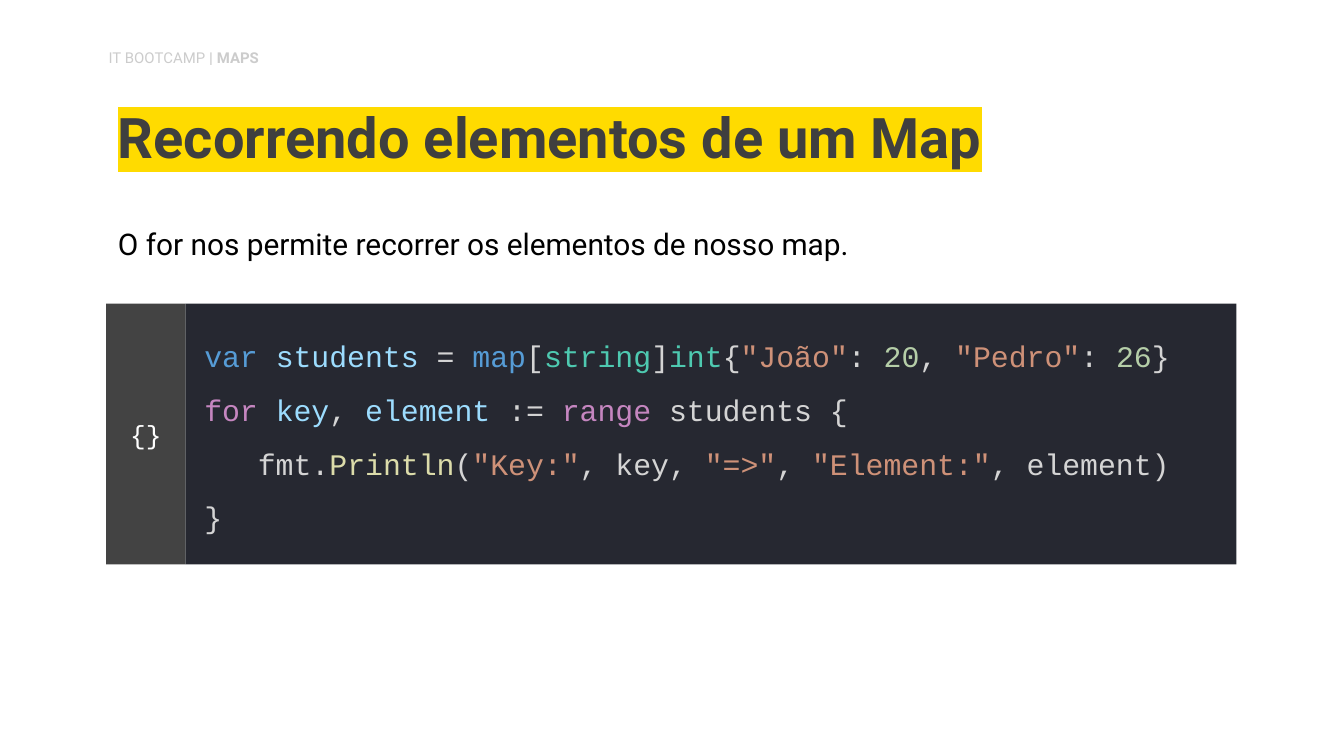
from lxml import etree
from pptx import Presentation
from pptx.dml.color import RGBColor
from pptx.enum import shapes, text
from pptx.oxml import ns
from pptx.util import Inches, Pt

SANS, MONO = "Roboto", "Courier New"
TITLE = "Recorrendo elementos de um Map"
INTRO = "O for nos permite recorrer os elementos de nosso map."
HEADER = [("IT BOOTCAMP", False), (" | MAPS", True)]

SYNTAX = {
    "plain": "D4D4D4", "keyword": "569CD6", "control": "C586C0",
    "variable": "9CDCFE", "type": "4EC9B0", "string": "CE9178",
    "number": "B5CEA8", "function": "DCDCAA",
}
CODE = [
    [("var ", "keyword"), ("students", "variable"), (" = ", "plain"),
     ("map", "keyword"), ("[", "plain"), ("string", "type"), ("]", "plain"),
     ("int", "type"), ("{", "plain"), ('"João"', "string"), (": ", "plain"),
     ("20", "number"), (", ", "plain"), ('"Pedro"', "string"),
     (": ", "plain"), ("26", "number"), ("}", "plain")],
    [("for ", "control"), ("key", "variable"), (", ", "plain"),
     ("element ", "variable"), (":= ", "plain"), ("range", "control"),
     (" students {", "plain")],
    [("   fmt.", "plain"), ("Println", "function"), ("(", "plain"),
     ('"Key:"', "string"), (", key, ", "plain"), ('"=>"', "string"),
     (", ", "plain"), ('"Element:"', "string"), (", element)", "plain")],
    [("}", "plain")],
]

CODE_LEFT, CODE_TOP, CODE_HEIGHT = 0.79, 2.26, 1.94
GUTTER_WIDTH, CODE_WIDTH = 0.59, 7.82


def color(value):
    return RGBColor.from_string(value)


def set_frame(shape, margins, anchor):
    """Wrap the text; margins are left, top, right, bottom in inches."""
    frame = shape.text_frame
    frame.word_wrap = True
    frame.vertical_anchor = anchor
    (frame.margin_left, frame.margin_top,
     frame.margin_right, frame.margin_bottom) = map(Inches, margins)
    return frame


def add_text_box(slide, box, margins=(0.1,) * 4, anchor=text.MSO_ANCHOR.TOP):
    return set_frame(slide.shapes.add_textbox(*map(Inches, box)), margins, anchor)


def add_panel(group, box, fill, margins=(0.1,) * 4):
    panel = group.shapes.add_shape(shapes.MSO_SHAPE.RECTANGLE, *map(Inches, box))
    panel.shadow.inherit = False
    panel.fill.solid()
    panel.fill.fore_color.rgb = color(fill)
    panel.line.fill.background()
    return set_frame(panel, margins, text.MSO_ANCHOR.MIDDLE)


def add_run(paragraph, words, size, font, ink, bold=False):
    run = paragraph.add_run()
    run.text = words
    run.font.size = Pt(size)
    run.font.name = font
    run.font.bold = bold
    run.font.color.rgb = color(ink)
    return run


def highlight(run, value):
    fill = run.font._element.find(ns.qn("a:solidFill"))
    marker = etree.Element(ns.qn("a:highlight"))
    etree.SubElement(marker, ns.qn("a:srgbClr"), val=value)
    fill.addnext(marker)


def main():
    presentation = Presentation()
    presentation.slide_width = Inches(10)
    presentation.slide_height = presentation.slide_width * 9 // 16
    slide = presentation.slides.add_slide(presentation.slide_layouts[6])

    paragraph = add_text_box(slide, (0.78, 1.54, 8.43, 0.54)).paragraphs[0]
    paragraph.line_spacing = 1.15
    add_run(paragraph, INTRO, 16, SANS, "000000")

    paragraph = add_text_box(slide, (0.78, 0.68, 8.43, 0.69),
                             anchor=text.MSO_ANCHOR.BOTTOM).paragraphs[0]
    paragraph.line_spacing = 0.9
    highlight(add_run(paragraph, TITLE, 30, SANS, "3F3F3F", bold=True), "FFDB00")

    paragraph = add_text_box(slide, (0.71, 0.31, 3.14, 0.27),
                             (0.1, 0.05, 0.1, 0.05)).paragraphs[0]
    for words, bold in HEADER:
        add_run(paragraph, words, 8, SANS, "CCCCCC", bold)

    code_block = slide.shapes.add_group_shape()
    frame = add_panel(
        code_block, (CODE_LEFT + GUTTER_WIDTH, CODE_TOP, CODE_WIDTH, CODE_HEIGHT),
        "262831", (0.14, 0, 0.1, 0.1))
    for index, line in enumerate(CODE):
        paragraph = frame.add_paragraph() if index else frame.paragraphs[0]
        paragraph.alignment = text.PP_ALIGN.LEFT
        paragraph.line_spacing = 1.5
        for words, kind in line:
            add_run(paragraph, words, 16, MONO, SYNTAX[kind])

    gutter = add_panel(
        code_block, (CODE_LEFT, CODE_TOP, GUTTER_WIDTH, CODE_HEIGHT), "434343")
    gutter.paragraphs[0].alignment = text.PP_ALIGN.CENTER
    add_run(gutter.paragraphs[0], "{}", 14, MONO, "FFFFFF")

    presentation.save("out.pptx")


if __name__ == "__main__":
    main()
